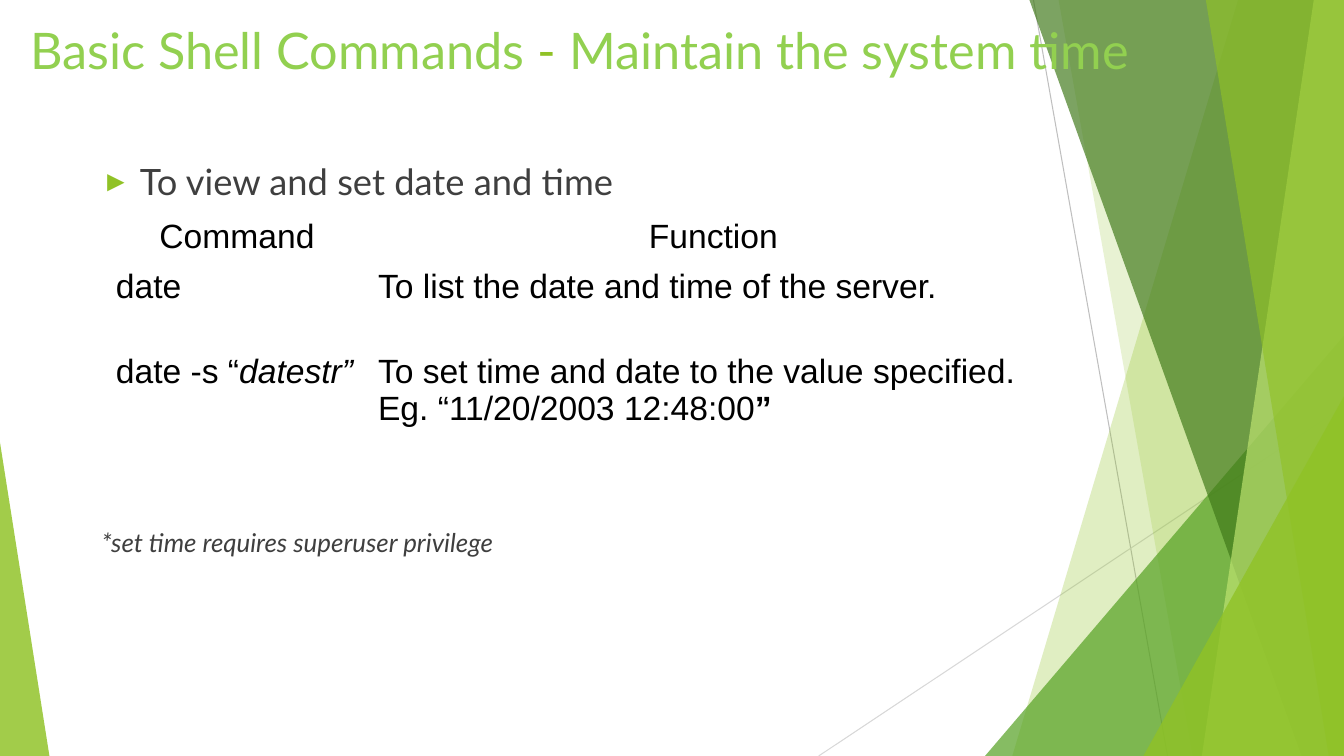
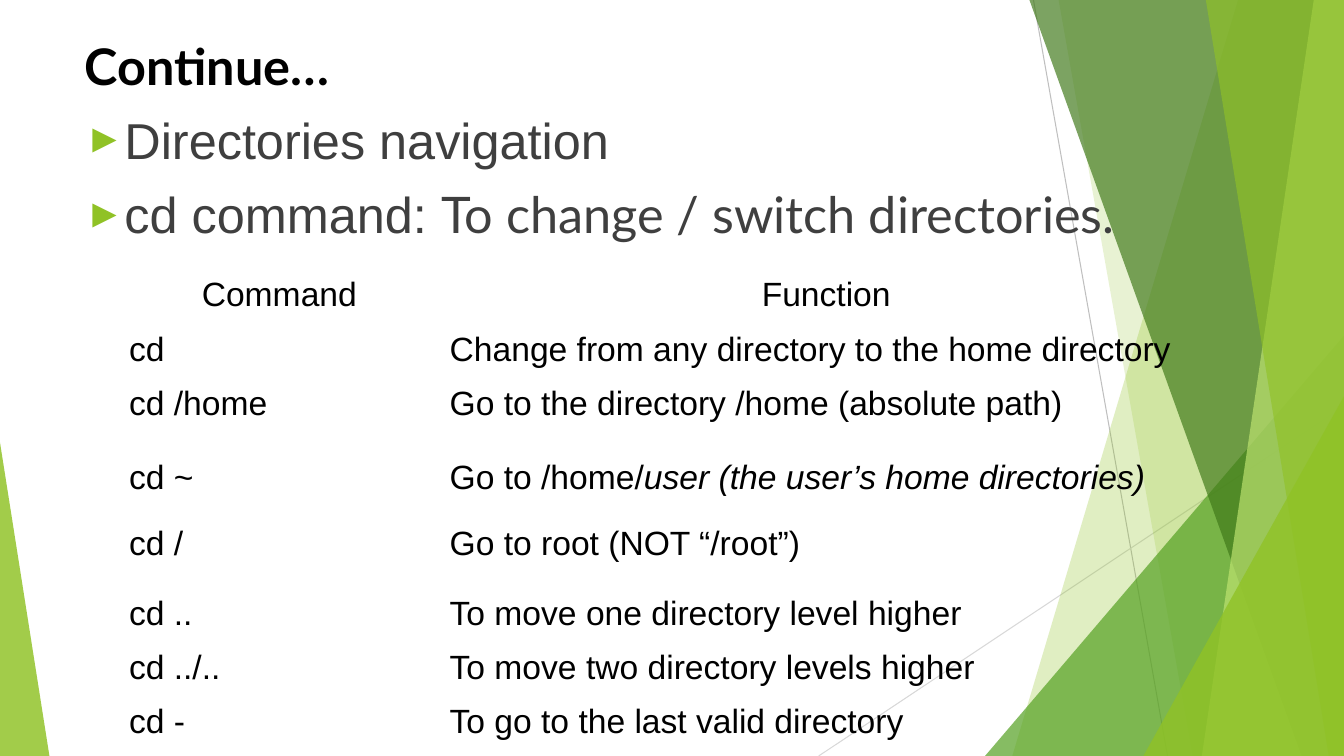
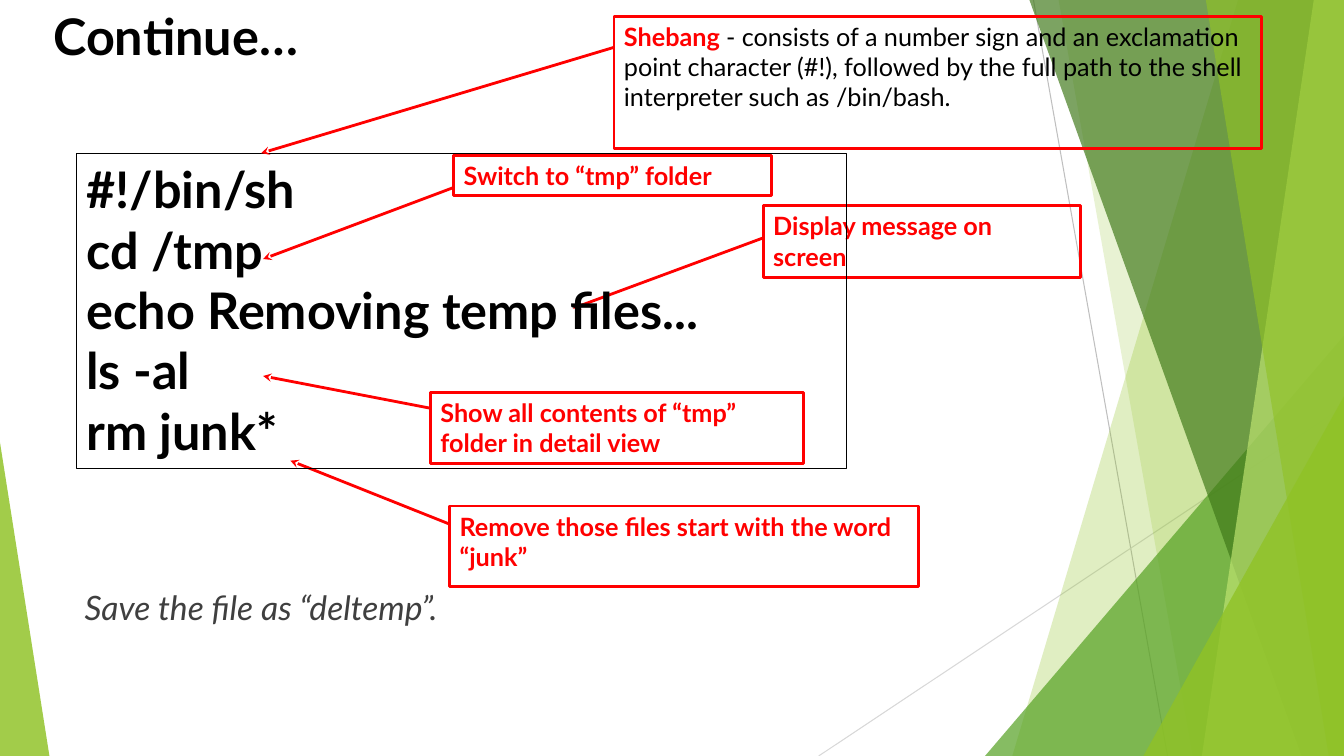
"""Build three slides on basic shell commands."""
from dataclasses import dataclass
from typing import Optional, Union

from lxml import etree
from pptx import Presentation
from pptx.dml.color import RGBColor
from pptx.enum.shapes import MSO_CONNECTOR, MSO_SHAPE
from pptx.enum.text import MSO_ANCHOR, PP_ALIGN
from pptx.oxml.ns import qn
from pptx.util import Inches, Pt

STRAIGHT = MSO_CONNECTOR.STRAIGHT
RECTANGLE = MSO_SHAPE.RECTANGLE
TRIANGLE = MSO_SHAPE.ISOSCELES_TRIANGLE
TOP = MSO_ANCHOR.TOP
LEFT, CENTER = PP_ALIGN.LEFT, PP_ALIGN.CENTER

WIDTH, HEIGHT = 13.33, 7.5
HEADING_FONT, TABLE_FONT = "Lato", "Arial"
PLAIN_TABLE_STYLE = "{2D5ABB26-0587-4C30-8999-92F81FD0307C}"
HANGING = 0.38
COLORS = {
    "lime": "90C226",
    "title": "92D050",
    "green": "54A021",
    "forest": "3F7818",
    "pale": "BFE471",
    "line_dark": "BFBFBF",
    "line_light": "D8D8D8",
    "body": "3F3F3F",
    "black": "000000",
    "red": "FF0000",
}


@dataclass(frozen=True)
class Box:
    """A rectangle in inches."""
    left: float
    top: float
    width: float
    height: float

    def emu(self) -> tuple:
        """Return the four lengths for a shape call."""
        return tuple(map(Inches, (self.left, self.top, self.width, self.height)))


@dataclass(frozen=True)
class Run:
    """A stretch of text that may depart from the format around it."""
    text: str
    color: Optional[str] = None
    font: Optional[str] = None
    bold: Optional[bool] = None
    italic: Optional[bool] = None


@dataclass(frozen=True)
class Facet:
    """A full-height band from a slanted left edge to the right slide edge."""
    top_x: float
    bottom_x: float
    color: str
    opacity: int


@dataclass(frozen=True)
class Peak:
    """A right-angled triangle standing on the bottom edge."""
    box: Box
    apex: float
    color: str
    opacity: int


@dataclass(frozen=True)
class Callout:
    """A framed remark with an arrow from its left edge."""
    box: Box
    arrow_y: float
    tip: tuple[float, float]
    remark: list[Run]


Paragraph = Union[str, list[Run]]

FACETS: list[Union[Facet, Peak]] = [
    Facet(12.28, 10.04, "lime", 28),
    Facet(10.5, 11.83, "lime", 20),
    Peak(Box(9.77, 3.33, 3.56, 4.17), 1, "green", 70),
    Facet(10.21, 12.91, "forest", 68),
    Facet(13.03, 11.92, "pale", 68),
    Facet(11.96, 13.18, "lime", 63),
    Peak(Box(11.34, 3.93, 1.99, 3.57), 1, "lime", 80),
    Peak(Box(0, 4.39, 0.49, 3.11), 0, "lime", 83),
]

DATE_ROWS = [
    (["Command"], ["Function"]),
    (["date"], ["To list the date and time of the server."]),
    (
        [[Run("date -s “"), Run("datestr”", italic=True)]],
        [
            "To set time and date to the value specified.",
            [Run("Eg. “11/20/2003 12:48:00"), Run("”", bold=True)],
        ],
    ),
]

CD_ROWS = [
    (["Command"], ["Function"]),
    (["cd"], ["Change from any directory to the home directory"]),
    (
        ["cd /home", "cd ~"],
        [
            "Go to the directory /home (absolute path)",
            [Run("Go to /home/"), Run("user (the user’s home directories)", italic=True)],
        ],
    ),
    (["cd /"], ["Go to root (NOT “/root”)"]),
    (["cd .."], ["To move one directory level higher"]),
    (["cd ../.."], ["To move two directory levels higher"]),
    (["cd -"], ["To go to the last valid directory"]),
]

SCRIPT_LINES = ["#!/bin/sh", "cd /tmp", "echo Removing temp files...", "ls -al", "rm junk*"]

LINE_CALLOUTS = [
    Callout(Box(4.5, 1.54, 3.15, 0.4), 1.86, (2.61, 2.57), [Run("Switch to “tmp” folder")]),
    Callout(Box(7.57, 2.04, 3.15, 0.71), 2.36, (5.68, 3.06), [Run("Display message on screen")]),
    Callout(Box(4.27, 3.89, 3.7, 0.71), 4.05, (2.61, 3.73),
            [Run("Show all contents of “tmp” folder in detail view")]),
    Callout(Box(4.46, 5.02, 4.65, 0.8), 5.2, (2.88, 4.57),
            [Run("Remove those files start with the word “junk”")]),
]

SHEBANG_CALLOUT = Callout(
    Box(6.09, 0.16, 6.42, 1.31), 0.47, (2.59, 1.52),
    [
        Run("Shebang "),
        Run("- consists of a number sign and an exclamation point character (#!), followed by "
            "the full path to the shell interpreter such as /bin/bash.",
            color="black", bold=False),
    ],
)


def rgb(name: str) -> RGBColor:
    """Look up a named colour."""
    return RGBColor.from_string(COLORS[name])


def add_bullet(paragraph) -> None:
    """Give a paragraph the hanging arrow bullet."""
    properties = paragraph._p.get_or_add_pPr()
    properties.set("marL", str(Inches(HANGING)))
    properties.set("indent", str(-Inches(HANGING)))
    tint = etree.SubElement(properties, qn("a:buClr"))
    etree.SubElement(tint, qn("a:srgbClr"), val=COLORS["lime"])
    etree.SubElement(properties, qn("a:buSzPct"), val="80000")
    etree.SubElement(properties, qn("a:buFont"), typeface=TABLE_FONT)
    etree.SubElement(properties, qn("a:buChar"), char="►")


def write(frame, paragraphs: list[Paragraph], *, size: float, color: str = "black",
          font: str = HEADING_FONT, bold: bool = False, italic: bool = False,
          align=LEFT, gap: float = 0, spacing: float = 1.0, bullet: bool = False) -> None:
    """Fill a text frame with formatted paragraphs."""
    frame.word_wrap = True
    frame.vertical_anchor = TOP
    for index, content in enumerate(paragraphs):
        paragraph = frame.add_paragraph() if index else frame.paragraphs[0]
        if bullet:
            add_bullet(paragraph)
        paragraph.alignment = align
        paragraph.line_spacing = spacing
        paragraph.space_before = Pt(gap if index else 0)
        for part in [Run(content)] if isinstance(content, str) else content:
            run = paragraph.add_run()
            run.text = part.text
            run.font.size = Pt(size)
            run.font.name = part.font or font
            run.font.color.rgb = rgb(part.color or color)
            run.font.bold = bold if part.bold is None else part.bold
            run.font.italic = italic if part.italic is None else part.italic


def add_text(slide, box: Box, paragraphs: list[Paragraph], **text_format) -> None:
    """Place a text box."""
    write(slide.shapes.add_textbox(*box.emu()).text_frame, paragraphs, **text_format)


def add_framed_text(slide, box: Box, paragraphs: list[Paragraph], *, line: str,
                    weight: float, **text_format) -> None:
    """Place text in an unfilled outlined rectangle."""
    frame = slide.shapes.add_shape(RECTANGLE, *box.emu())
    frame.shadow.inherit = False
    frame.fill.background()
    frame.line.color.rgb = rgb(line)
    frame.line.width = Pt(weight)
    write(frame.text_frame, paragraphs, **text_format)


def add_line(slide, start: tuple[float, float], end: tuple[float, float], color: str,
             weight: float, arrow: bool = False) -> None:
    """Draw a straight line, with an arrowhead at its end if asked."""
    line = slide.shapes.add_connector(STRAIGHT, *map(Inches, (*start, *end)))
    line.line.color.rgb = rgb(color)
    line.line.width = Pt(weight)
    properties = line.element.spPr
    if arrow:
        etree.SubElement(properties.find(qn("a:ln")), qn("a:tailEnd"), type="stealth")
    etree.SubElement(properties, qn("a:effectLst"))


def add_facet(slide, facet: Union[Facet, Peak]) -> None:
    """Draw one translucent piece of the background."""
    if isinstance(facet, Peak):
        piece = slide.shapes.add_shape(TRIANGLE, *facet.box.emu())
        piece.adjustments[0] = facet.apex
    else:
        outline = slide.shapes.build_freeform(Inches(facet.top_x), 0)
        corners = [(WIDTH, 0), (WIDTH, HEIGHT), (facet.bottom_x, HEIGHT)]
        outline.add_line_segments([(Inches(x), Inches(y)) for x, y in corners])
        piece = outline.convert_to_shape()
    piece.shadow.inherit = False
    piece.fill.solid()
    piece.fill.fore_color.rgb = rgb(facet.color)
    piece.line.fill.background()
    tint = piece.element.spPr.find(f"{qn('a:solidFill')}/{qn('a:srgbClr')}")
    etree.SubElement(tint, qn("a:alpha"), val=str(facet.opacity * 1000))


def add_slide(deck, title: list[Run], box: Box, **title_format):
    """Start a slide with the shared background and its title."""
    slide = deck.slides.add_slide(deck.slide_layouts[6])
    add_line(slide, (10.25, 0), (11.58, HEIGHT), "line_dark", 0.75)
    add_line(slide, (WIDTH, 4.03), (8.12, HEIGHT), "line_light", 0.75)
    for facet in FACETS:
        add_facet(slide, facet)
    add_text(slide, box, [title], size=36, **title_format)
    return slide


def add_command_table(slide, left: float, top: float, widths: list[float],
                      heights: list[float], rows: list, gap: float = 0) -> None:
    """Place a plain table of commands and their functions."""
    box = Box(left, top, sum(widths), sum(heights))
    holder = slide.shapes.add_table(len(rows), len(widths), *box.emu())
    holder.element.find(f".//{qn('a:tableStyleId')}").text = PLAIN_TABLE_STYLE
    table = holder.table
    table.first_row = table.horz_banding = False
    for column, width in zip(table.columns, widths):
        column.width = Inches(width)
    for index, (row, height, contents) in enumerate(zip(table.rows, heights, rows)):
        row.height = Inches(height)
        for cell, paragraphs in zip(row.cells, contents):
            cell.fill.background()
            cell.vertical_anchor = TOP
            write(cell.text_frame, paragraphs, size=24, font=TABLE_FONT, gap=gap,
                  align=LEFT if index else CENTER)


def add_callout(slide, callout: Callout) -> None:
    """Draw a remark and its arrow."""
    add_line(slide, (callout.box.left, callout.arrow_y), callout.tip, "red", 2, arrow=True)
    add_framed_text(slide, callout.box, [callout.remark], line="red", weight=2,
                    size=18, color="red", bold=True)


def build_date_slide(deck) -> None:
    """Show how to view and set the system time."""
    title = [Run("Basic Shell Commands "), Run("-", color="lime"),
             Run(" Maintain the system time")]
    slide = add_slide(deck, title, Box(0.2, 0.14, 12.59, 1.44), color="title")
    add_text(slide, Box(0.91, 1.58, 10.26, 0.5), ["To view and set date and time"],
             size=25.9, color="body", spacing=0.9, bullet=True)
    add_text(slide, Box(0.91, 5.21, 10.26, 0.4), ["*set time requires superuser privilege"],
             size=18.5, color="body", spacing=0.9, italic=True)
    add_command_table(slide, 1.05, 2.11, [2.6, 6.85], [0.48, 0.84, 1.38], DATE_ROWS)


def build_directory_slide(deck) -> None:
    """Show the forms of the cd command."""
    slide = add_slide(deck, [Run("Continue…")], Box(0.74, 0.3, 9.4, 0.92), bold=True)
    topics = ["Directories navigation",
              [Run("cd command: "), Run("To change / switch directories.", font=HEADING_FONT)]]
    add_text(slide, Box(0.74, 1.03, 12.1, 1.6), topics, size=36, color="body",
             font=TABLE_FONT, gap=10, bullet=True)
    add_command_table(slide, 1.18, 2.69, [3.18, 7.67],
                      [0.54, 0.54, 1.39, 0.69, 0.54, 0.54, 0.54], CD_ROWS, gap=26)


def build_script_slide(deck) -> None:
    """Explain a short shell script line by line."""
    slide = add_slide(deck, [Run("Continue…")], Box(0.43, 0, 9.4, 0.93), bold=True)
    add_text(slide, Box(0.74, 5.77, 9.4, 0.5), ["Save the file as “deltemp”."],
             size=24, color="body", italic=True)
    for callout in LINE_CALLOUTS:
        add_callout(slide, callout)
    add_framed_text(slide, Box(0.76, 1.52, 7.64, 3.13), SCRIPT_LINES, line="black",
                    weight=0.75, size=36, bold=True)
    add_callout(slide, SHEBANG_CALLOUT)


def main() -> None:
    """Build and save the deck."""
    deck = Presentation()
    deck.slide_width, deck.slide_height = Inches(WIDTH), Inches(HEIGHT)
    build_date_slide(deck)
    build_directory_slide(deck)
    build_script_slide(deck)
    deck.save("out.pptx")


if __name__ == "__main__":
    main()
